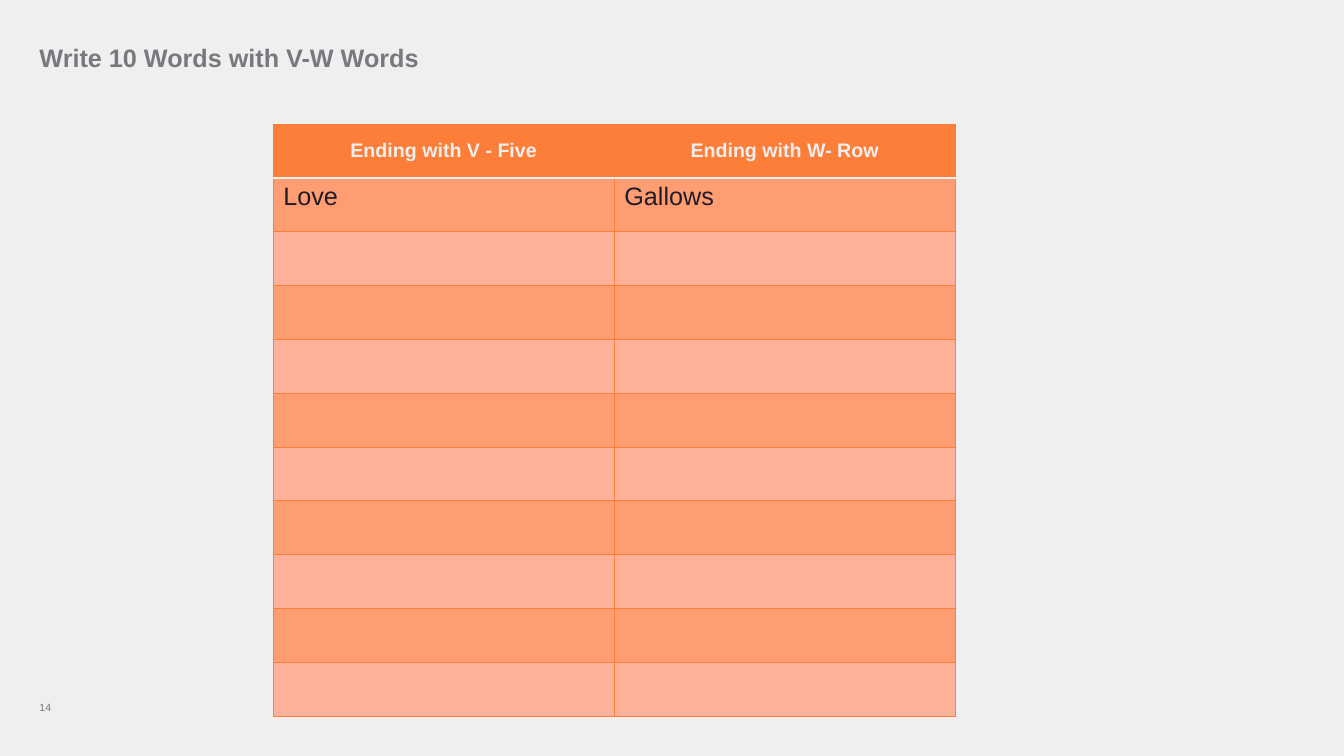
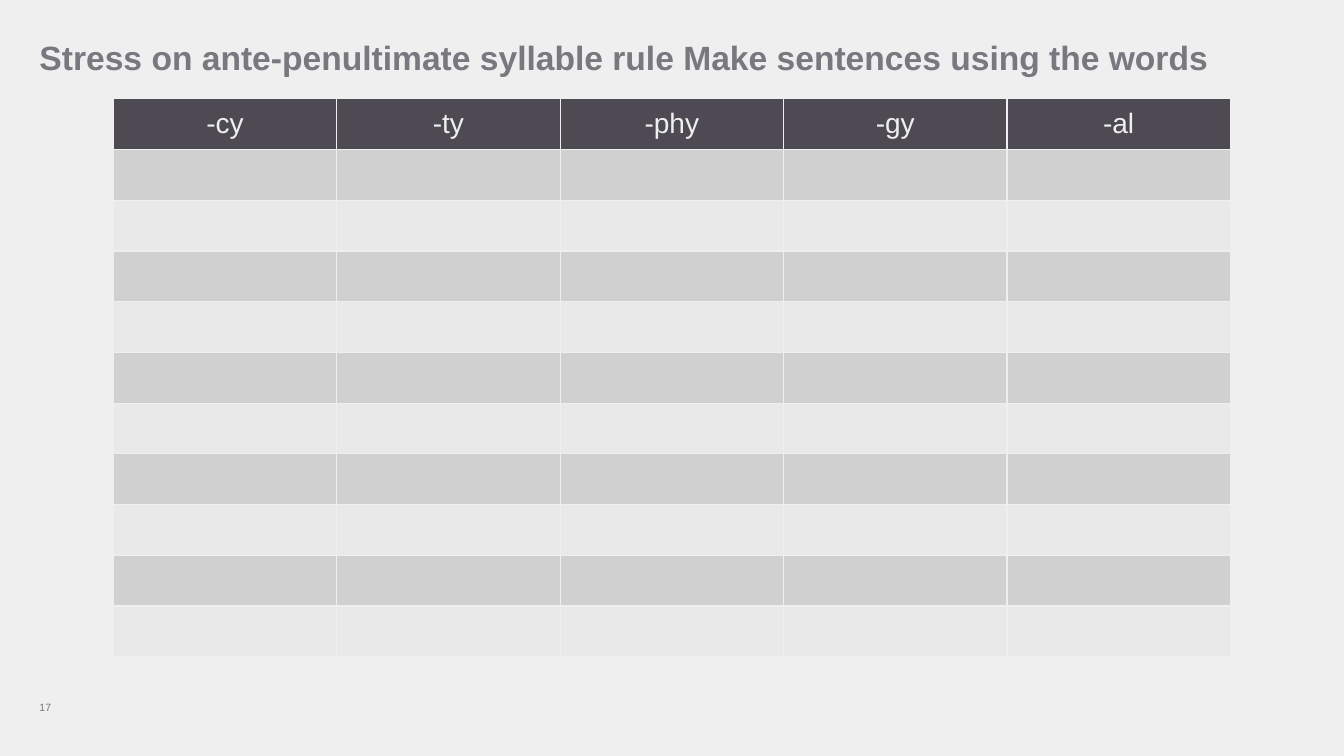
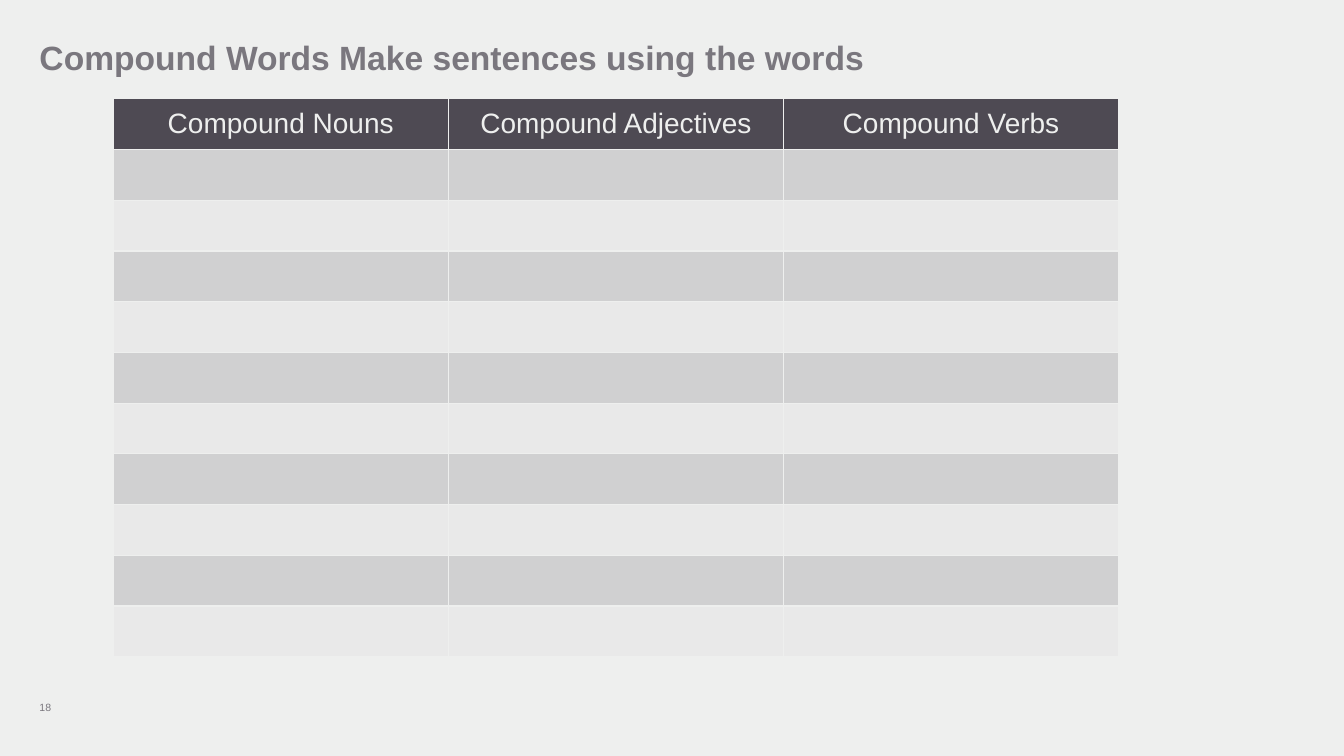
from lxml.etree import SubElement
from pptx import Presentation
from pptx.dml.color import RGBColor
from pptx.enum.text import MSO_ANCHOR, PP_ALIGN
from pptx.oxml.ns import qn
from pptx.util import Pt

BACKGROUND = "EEEFEE"
GREY = "7A777E"
DARK = "201D28"
FONT = "Arial"
MARGIN = 28.2
ORANGE_TABLE = {"header": "FC7E39", "bands": ("FF9D72", "FFB199"), "line": ("FC7E39", 0.5),
                "header_line": (BACKGROUND, 1.5), "header_size": 14, "header_bold": True}
GREY_TABLE = {"header": "4E4A53", "bands": ("D0D0D1", "E9E9E9"), "line": (BACKGROUND, 1),
              "header_line": (BACKGROUND, 1), "header_size": 20, "header_bold": False}


def colour(value):
    """Turn a hex string into a colour."""
    return RGBColor.from_string(value)


class Worksheet:
    """Hold the shared style and the current slide."""

    def __init__(self):
        """Start a presentation with the shared size and background."""
        self.presentation = Presentation()
        self.presentation.slide_width = Pt(960)
        self.presentation.slide_height = Pt(540)
        fill = self.presentation.slide_master.background.fill
        fill.solid()
        fill.fore_color.rgb = colour(BACKGROUND)

    def add_slide(self, title, size, number):
        """Add a slide with its title and page number."""
        self.slide = self.presentation.slides.add_slide(self.presentation.slide_layouts[6])
        self.text(title, MARGIN, 28.2, 902.4, 28.2, size, True).line_spacing = 0.9
        self.text(number, MARGIN, 484, 42.4, 42.4, 7.5)

    def add_text_run(self, paragraph, text, size, hex_colour, bold=False):
        """Add one styled run to a paragraph."""
        run = paragraph.add_run()
        run.text = text
        run.font.name = FONT
        run.font.size = Pt(size)
        run.font.bold = bold
        run.font.color.rgb = colour(hex_colour)

    def text(self, text, left, top, width, height, size, bold=False):
        """Add a grey text box without insets and return its paragraph."""
        shape = self.slide.shapes.add_textbox(Pt(left), Pt(top), Pt(width), Pt(height))
        frame = shape.text_frame
        frame.word_wrap = True
        frame.vertical_anchor = MSO_ANCHOR.MIDDLE
        frame.margin_left = frame.margin_right = frame.margin_top = frame.margin_bottom = 0
        paragraph = frame.paragraphs[0]
        self.add_text_run(paragraph, text, size, GREY, bold)
        return paragraph

    def border(self, cell, side, line):
        """Draw one side of a cell."""
        hex_colour, width = line
        element = SubElement(cell._tc.get_or_add_tcPr(), qn(f"a:ln{side}"), w=str(Pt(width)))
        SubElement(SubElement(element, qn("a:solidFill")), qn("a:srgbClr"), val=hex_colour)

    def table(self, headings, left, top, column_width, row_height, style, answers=(), rows=11):
        """Add a banded table with headings and optional first answers."""
        columns = len(headings)
        table = self.slide.shapes.add_table(
            rows, columns, Pt(left), Pt(top),
            Pt(column_width * columns), Pt(row_height * rows)).table
        table.horz_banding = table.first_row = False
        for column in table.columns:
            column.width = Pt(column_width)
        for index, row in enumerate(table.rows):
            row.height = Pt(row_height)
            top_line = style["header_line"] if index == 1 else style["line"]
            bottom_line = style["header_line"] if index == 0 else style["line"]
            for cell in row.cells:
                for side, line in zip("LRTB", (style["line"], style["line"], top_line, bottom_line)):
                    self.border(cell, side, line)
                cell.fill.solid()
                cell.fill.fore_color.rgb = colour(
                    style["bands"][(index - 1) % 2] if index else style["header"])
        for cell, heading in zip(table.rows[0].cells, headings):
            cell.vertical_anchor = MSO_ANCHOR.MIDDLE
            paragraph = cell.text_frame.paragraphs[0]
            paragraph.alignment = PP_ALIGN.CENTER
            self.add_text_run(paragraph, heading, style["header_size"], BACKGROUND,
                              style["header_bold"])
        for cell, answer in zip(table.rows[1].cells, answers):
            self.add_text_run(cell.text_frame.paragraphs[0], answer, 18, DARK)


def main():
    """Build the three word exercises."""
    sheet = Worksheet()
    sheet.add_slide("Write 10 Words with V-W Words", 18, "14")
    sheet.table(("Ending with V - Five", "Ending with W- Row"), 195.2, 88.6, 243.6, 38.45,
                ORANGE_TABLE, ("Love", "Gallows"))
    sheet.add_slide("Stress on ante-penultimate syllable rule Make sentences using the words", 24, "17")
    sheet.table(("-cy", "-ty", "-phy", "-gy", "-al"), 80.9, 70.6, 159.6, 36.25, GREY_TABLE)
    sheet.add_slide("Compound Words Make sentences using the words", 24, "18")
    sheet.table(("Compound Nouns", "Compound Adjectives", "Compound Verbs"),
                80.9, 70.6, 239.4, 36.25, GREY_TABLE)
    sheet.presentation.save("out.pptx")


if __name__ == "__main__":
    main()
